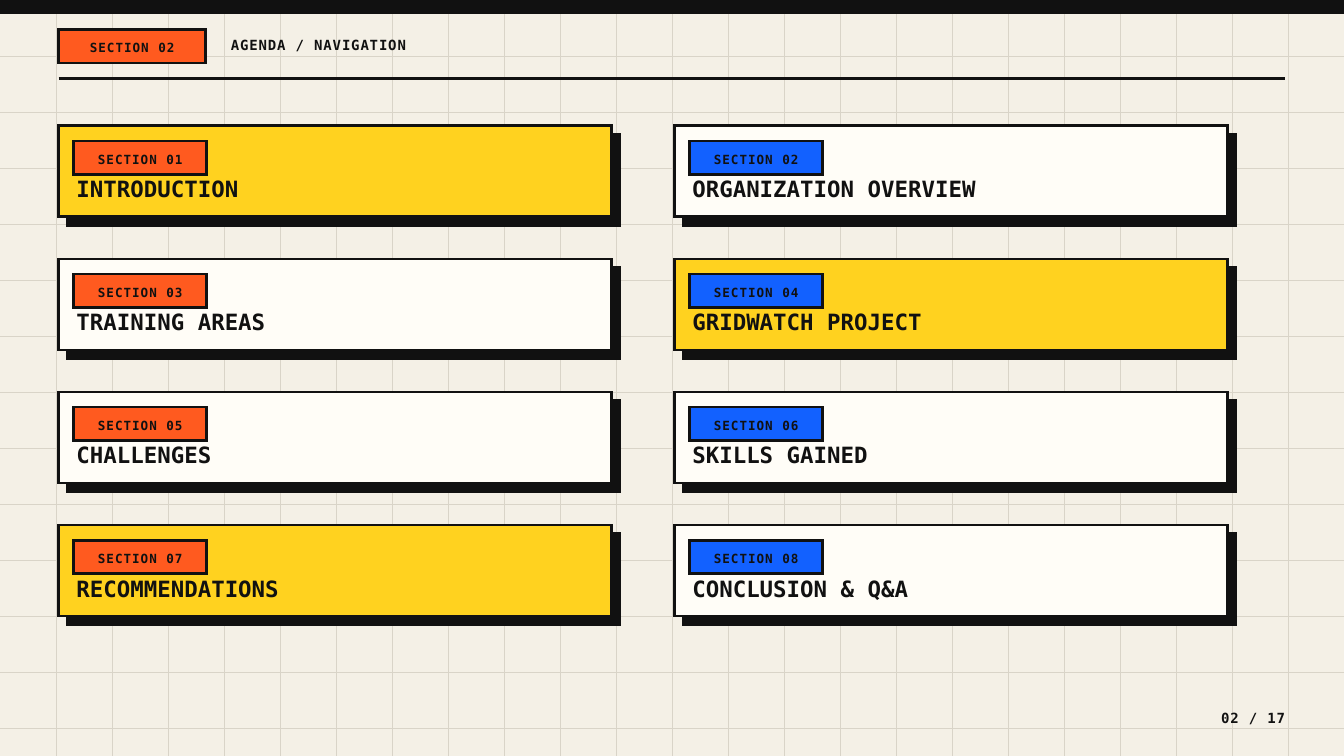
import pptx
import pptx.enum.shapes
import pptx.enum.text
import pptx.oxml.ns
from lxml import etree
from pptx.dml.color import RGBColor
from pptx.util import Cm, Pt

# Content
HEADER_BADGE = "SECTION 02"
HEADER_TITLE = "AGENDA / NAVIGATION"
PAGE_NUMBER = "02 / 17"
AGENDA = [  # title, highlighted
    ("INTRODUCTION", True), ("ORGANIZATION OVERVIEW", False),
    ("TRAINING AREAS", False), ("GRIDWATCH PROJECT", True),
    ("CHALLENGES", False), ("SKILLS GAINED", False),
    ("RECOMMENDATIONS", True), ("CONCLUSION & Q&A", False),
]

# Colours
PAPER = RGBColor(0xF4, 0xF0, 0xE6)
GRID = RGBColor(0xD9, 0xD4, 0xC8)
INK = RGBColor(0x11, 0x11, 0x11)
YELLOW = RGBColor(0xFF, 0xD2, 0x1F)
CREAM = RGBColor(0xFF, 0xFD, 0xF7)
ORANGE = RGBColor(0xFF, 0x5A, 0x1F)
BLUE = RGBColor(0x12, 0x61, 0xFF)

# Text formats: font attributes, letter spacing (1/100 pt), line height (pt)
FONT = {"name": "DejaVu Sans Mono", "bold": True}
BADGE = ({**FONT, "size": Pt(13.5)}, 110, 18.9)
LABEL = ({**FONT, "size": Pt(15)}, 90, 21)
HEADING = ({**FONT, "size": Pt(24)}, 0, 26.4)

# Layout in cm
WIDTH, HEIGHT = 50.8, 28.58
GRID_STEP = WIDTH / 24
MARGIN = 2.22
CARD_TOP, CARD_W, CARD_H = 4.76, 20.9, 3.44
COLUMN_PITCH, ROW_PITCH = 23.28, 5.03
SHADOW_OFFSET, BADGE_OFFSET = 0.32, 0.57

ALIGN = pptx.enum.text.PP_ALIGN
ANCHOR = pptx.enum.text.MSO_ANCHOR
qn = pptx.oxml.ns.qn


def add_line(s, x1, y1, x2, y2, color, width):
    line = s.shapes.add_connector(pptx.enum.shapes.MSO_CONNECTOR.STRAIGHT,
                                  Cm(x1), Cm(y1), Cm(x2), Cm(y2))
    line.line.color.rgb = color
    line.line.width = Pt(width)
    etree.SubElement(line._element.spPr, qn("a:effectLst"))


def add_box(s, x, y, w, h, fill):
    sp = s.shapes.add_shape(pptx.enum.shapes.MSO_SHAPE.RECTANGLE,
                            Cm(x), Cm(y), Cm(w), Cm(h))
    sp.shadow.inherit = False
    sp.fill.solid()
    sp.fill.fore_color.rgb = fill
    sp.line.color.rgb = INK
    sp.line.width = Pt(3)
    # Square corners
    etree.SubElement(sp.line._get_or_add_ln(), qn("a:miter"), lim="800000")
    return sp


def write(sp, text, style, align, anchor=ANCHOR.TOP, inset=0):
    font, spacing, line_height = style
    tf = sp.text_frame
    frame = {"word_wrap": True, "vertical_anchor": anchor}
    for side in ("left", "right", "top", "bottom"):
        frame["margin_" + side] = Cm(inset)
    for name, value in frame.items():
        setattr(tf, name, value)
    p = tf.paragraphs[0]
    p.alignment = align
    p.line_spacing = Pt(line_height)
    r = p.add_run()
    r.text = text
    for name, value in font.items():
        setattr(r.font, name, value)
    r.font.color.rgb = INK
    if spacing:
        r._r.get_or_add_rPr().set("spc", str(spacing))


def add_badge(s, x, y, w, text, fill):
    sp = add_box(s, x, y, w, 1.27, fill)
    write(sp, text, BADGE, ALIGN.CENTER, ANCHOR.MIDDLE, 0.15)


def add_text(s, x, y, w, h, text, style, align=ALIGN.LEFT):
    sp = s.shapes.add_textbox(Cm(x), Cm(y), Cm(w), Cm(h))
    write(sp, text, style, align)
    sp.text_frame.auto_size = pptx.enum.text.MSO_AUTO_SIZE.SHAPE_TO_FIT_TEXT


def add_card(s, number, title, highlighted):
    row, column = divmod(number - 1, 2)
    x = MARGIN + column * COLUMN_PITCH
    y = CARD_TOP + row * ROW_PITCH
    add_box(s, x + SHADOW_OFFSET, y + SHADOW_OFFSET, CARD_W, CARD_H, INK)
    add_box(s, x, y, CARD_W, CARD_H, YELLOW if highlighted else CREAM)
    add_badge(s, x + BADGE_OFFSET, y + BADGE_OFFSET, 5.03,
              f"SECTION {number:02}", BLUE if column else ORANGE)
    add_text(s, x + 0.67, y + 1.96, 19.05, 0.95, title, HEADING)


def main():
    prs = pptx.Presentation()
    prs.slide_width, prs.slide_height = Cm(WIDTH), Cm(HEIGHT)
    s = prs.slides.add_slide(prs.slide_layouts[5])
    s.background.fill.solid()
    s.background.fill.fore_color.rgb = PAPER

    # Background grid
    for i in range(1, 24):
        add_line(s, i * GRID_STEP, 0, i * GRID_STEP, HEIGHT, GRID, 0.75)
    for i in range(1, 14):
        add_line(s, 0, i * GRID_STEP, WIDTH, i * GRID_STEP, GRID, 0.75)

    # Header
    add_box(s, 0, 0, WIDTH, 0.48, INK)
    add_badge(s, MARGIN, 1.11, 5.56, HEADER_BADGE, ORANGE)
    add_line(s, MARGIN, 2.96, WIDTH - MARGIN, 2.96, INK, 3)
    title = s.shapes.title
    place = {"left": 8.73, "top": 1.27, "width": 31.75, "height": 0.74}
    for name, value in place.items():
        setattr(title, name, Cm(value))
    write(title, HEADER_TITLE, LABEL, ALIGN.LEFT)
    title.text_frame.auto_size = pptx.enum.text.MSO_AUTO_SIZE.NONE
    s.shapes._spTree.append(title._element)  # in front of the grid

    # Agenda cards
    for number, (text, highlighted) in enumerate(AGENDA, 1):
        add_card(s, number, text, highlighted)

    # Page number
    add_text(s, 44.61, 26.72, 3.97, 0.74, PAGE_NUMBER, LABEL, ALIGN.RIGHT)
    prs.save("out.pptx")


if __name__ == "__main__":
    main()
